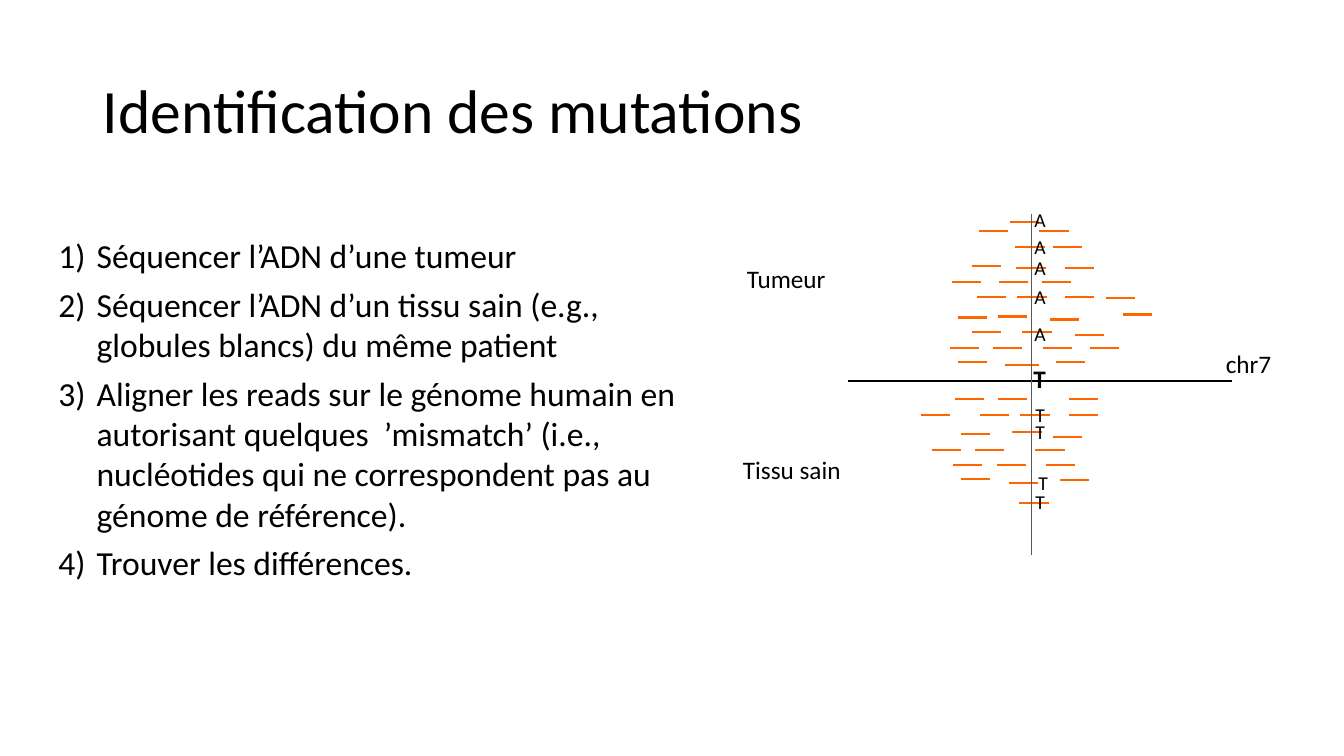
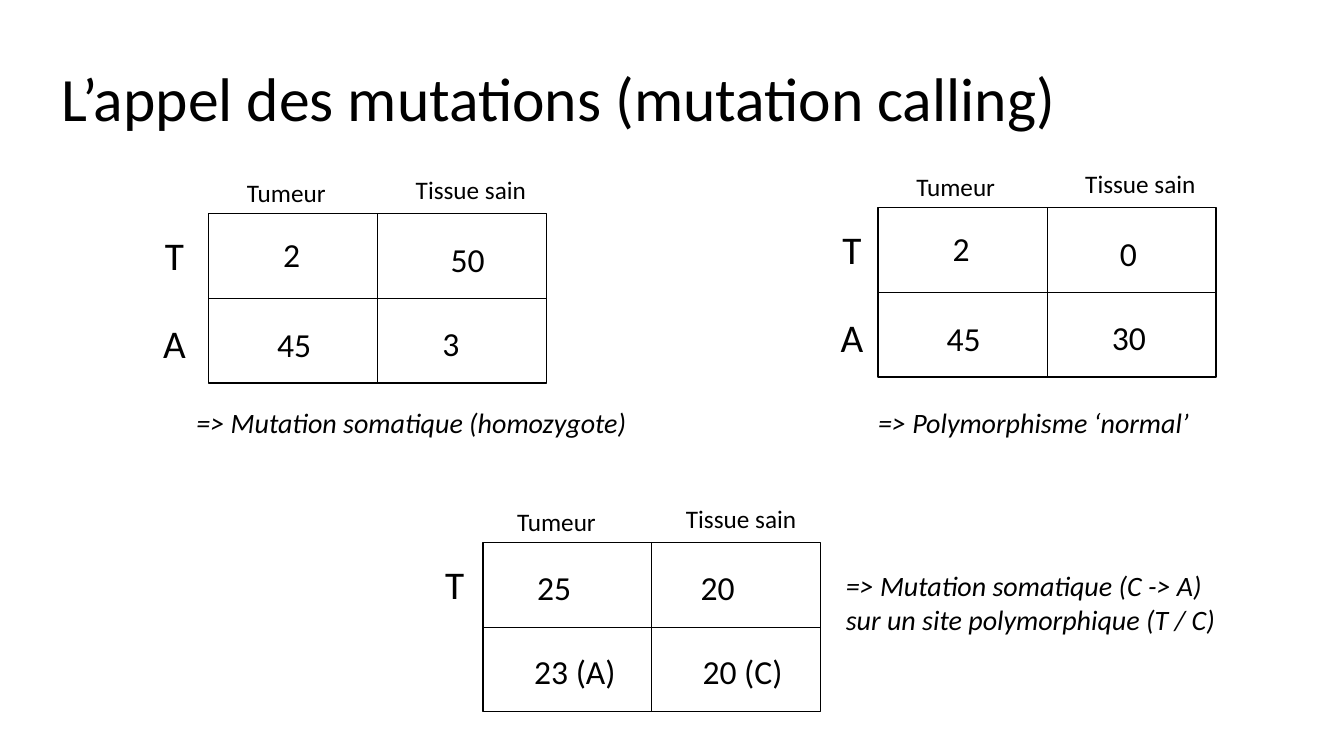
from dataclasses import dataclass

from lxml import etree
from pptx import Presentation
from pptx.dml.color import RGBColor
from pptx.enum.shapes import MSO_CONNECTOR, MSO_SHAPE
from pptx.enum.text import MSO_ANCHOR, MSO_AUTO_SIZE, PP_ALIGN
from pptx.oxml.ns import qn
from pptx.util import Inches, Pt

STRAIGHT = MSO_CONNECTOR.STRAIGHT
RECTANGLE = MSO_SHAPE.RECTANGLE
MIDDLE = MSO_ANCHOR.MIDDLE
FIXED_SIZE = MSO_AUTO_SIZE.NONE
GROW = MSO_AUTO_SIZE.SHAPE_TO_FIT_TEXT
LEFT = PP_ALIGN.LEFT
CENTER = PP_ALIGN.CENTER
TOP_SIDE, LEFT_SIDE, BOTTOM_SIDE, RIGHT_SIDE = range(4)
TITLE_ONLY = 5


@dataclass(frozen=True)
class Theme:
    font: str = "Calibri"
    ink: str = "000000"
    paper: str = "FFFFFF"
    read: str = "FF6600"
    axis: str = "595959"
    title: int = 44
    row_label: int = 28
    body: int = 24
    caption: int = 20
    label: int = 18
    base: int = 14
    thick: float = 1.5
    border: float = 1
    thin: float = 0.5


THEME = Theme()

STEPS = [
    "Séquencer l’ADN d’une tumeur",
    "Séquencer l’ADN d’un tissu sain (e.g., globules blancs) du même patient",
    "Aligner les reads sur le génome humain en autorisant quelques  ’mismatch’ "
    "(i.e., nucléotides qui ne correspondent pas au génome de référence).",
    "Trouver les différences.",
]

READ_LENGTH = 0.29
READ_ROWS = {
    2.2: [10.02],
    2.29: [9.71, 10.31],
    2.45: [10.07, 10.44],
    2.64: [9.64],
    2.66: [10.08, 10.56],
    2.8: [9.44, 9.91, 10.33],
    2.95: [9.69, 10.09, 10.56],
    2.96: [10.97],
    3.12: [11.14],
    3.14: [9.9],
    3.15: [9.5],
    3.17: [10.41],
    3.29: [9.64, 10.14],
    3.32: [10.66],
    3.45: [9.42, 9.85, 10.34, 10.81],
    3.59: [9.5, 10.47],
    3.62: [9.97, 10.02],
    3.96: [9.47, 9.9, 10.6],
    4.12: [9.13, 9.72, 10.12, 10.6],
    4.29: [10.04],
    4.31: [9.53],
    4.34: [10.44],
    4.46: [9.24, 9.67, 10.27],
    4.61: [9.45, 9.89, 10.37],
    4.75: [9.53],
    4.76: [10.51],
    4.79: [10.01],
    4.99: [10.11],
}

TUMOUR_BASE_TOPS = [2.01, 2.28, 2.49, 2.78, 3.14]
HEALTHY_BASES = [(10.17, 3.95), (10.17, 4.12), (10.2, 4.62), (10.17, 4.81)]

GRID_WIDTH, GRID_HEIGHT = 3.35, 1.68
COLUMN_HEADERS = [("Tumeur", 0, -0.41), ("Tissue sain", 1.83, -0.44)]
ROW_LABEL_WIDTH = 1.52
ROW_LABEL_TOPS = [0.13, 1]
SHORT_OFFSETS = [(0.64, 0.15), (2.3, 0.2), (0.58, 1.04), (2.22, 1.03)]
LONG_OFFSETS = [(0.44, 0.2), (2.06, 0.2), (0.41, 1.03), (2.08, 1.03)]


class Deck:
    def __init__(self, theme):
        self.theme = theme
        self.presentation = Presentation()
        self.presentation.slide_width = Inches(13.33)
        self.presentation.slide_height = Inches(7.5)
        self.slide = None
        self.shapes = None

    def add_slide(self, title, left, top):
        layout = self.presentation.slide_layouts[TITLE_ONLY]
        self.slide = self.presentation.slides.add_slide(layout)
        self.shapes = self.slide.shapes
        fill = self.slide.background.fill
        fill.solid()
        fill.fore_color.rgb = RGBColor.from_string(self.theme.paper)
        shape = self.shapes.title
        shape.left, shape.top = Inches(left), Inches(top)
        shape.width, shape.height = Inches(11.5), Inches(1.45)
        frame = shape.text_frame
        frame.word_wrap = True
        frame.auto_size = FIXED_SIZE
        frame.vertical_anchor = MIDDLE
        paragraph = frame.paragraphs[0]
        paragraph.alignment = LEFT
        paragraph.line_spacing = 0.9
        self.run(paragraph, title, self.theme.title)

    def start_group(self):
        self.shapes = self.slide.shapes.add_group_shape().shapes

    def end_group(self):
        self.shapes = self.slide.shapes

    def run(self, paragraph, text, size, bold=False, italic=False):
        run = paragraph.add_run()
        run.text = text
        run.font.name = self.theme.font
        run.font.size = Pt(size)
        run.font.bold = bold
        run.font.italic = italic
        run.font.color.rgb = RGBColor.from_string(self.theme.ink)

    def frame(self, left, top, width, height):
        box = self.shapes.add_textbox(
            Inches(left), Inches(top), Inches(width), Inches(height))
        box.text_frame.word_wrap = True
        box.text_frame.auto_size = GROW
        return box.text_frame

    def text(self, text, left, top, width, height, size,
             alignment=LEFT, bold=False, italic=False):
        paragraph = self.frame(left, top, width, height).paragraphs[0]
        paragraph.alignment = alignment
        self.run(paragraph, text, size, bold, italic)

    def numbered_list(self, items, left, top, width, height):
        frame = self.frame(left, top, width, height)
        for index, item in enumerate(items):
            paragraph = frame.add_paragraph() if index else frame.paragraphs[0]
            paragraph.space_before = Pt(6)
            properties = paragraph._p.get_or_add_pPr()
            properties.set("marL", str(Inches(0.38)))
            properties.set("indent", str(-Inches(0.38)))
            number = etree.SubElement(properties, qn("a:buAutoNum"))
            number.set("type", "arabicParenR")
            self.run(paragraph, item, self.theme.body)

    def line(self, start, end, color, weight):
        connector = self.shapes.add_connector(
            STRAIGHT, *(Inches(value) for value in (*start, *end)))
        connector.line.color.rgb = RGBColor.from_string(color)
        connector.line.width = Pt(weight)
        etree.SubElement(connector._element.spPr, qn("a:effectLst"))
        return connector

    def count_grid(self, left, top, values, offsets, row_labels, label_center,
                   header_left=-0.1):
        theme = self.theme
        rectangle = self.shapes.add_shape(
            RECTANGLE, Inches(left), Inches(top),
            Inches(GRID_WIDTH), Inches(GRID_HEIGHT))
        rectangle.shadow.inherit = False
        rectangle.fill.solid()
        rectangle.fill.fore_color.rgb = RGBColor.from_string(theme.paper)
        rectangle.line.color.rgb = RGBColor.from_string(theme.ink)
        rectangle.line.width = Pt(theme.border)

        center_x, center_y = left + GRID_WIDTH / 2, top + GRID_HEIGHT / 2
        dividers = [
            ((center_x, top), (center_x, top + GRID_HEIGHT), TOP_SIDE, BOTTOM_SIDE),
            ((left, center_y), (left + GRID_WIDTH, center_y), LEFT_SIDE, RIGHT_SIDE),
        ]
        for start, end, first_side, last_side in dividers:
            divider = self.line(start, end, theme.ink, theme.thin)
            divider.begin_connect(rectangle, first_side)
            divider.end_connect(rectangle, last_side)

        for header, x, y in COLUMN_HEADERS:
            self.text(header, left + header_left + x, top + y, 1.74, 0.42,
                      theme.label, CENTER)
        for label, y in zip(row_labels, ROW_LABEL_TOPS):
            self.text(label, left + label_center - ROW_LABEL_WIDTH / 2, top + y,
                      ROW_LABEL_WIDTH, 0.57, theme.row_label, CENTER)
        for value, (x, y) in zip(values, offsets):
            width = 1.13 if len(value) > 2 else 0.6
            self.text(value, left + x, top + y, width, 0.5, theme.body)

    def caption(self, text, left, top, width, height):
        self.text(text, left, top, width, height, self.theme.caption, italic=True)


def build_identification(deck):
    theme = deck.theme
    deck.add_slide("Identification des mutations", 0.92, 0.4)
    deck.text("chr7", 12.06, 3.41, 1.06, 0.4, theme.label)
    deck.numbered_list(STEPS, 0.48, 2.28, 6.51, 3.58)

    deck.start_group()
    deck.line((8.41, 3.78), (12.22, 3.78), theme.ink, theme.thick)
    for y, lefts in READ_ROWS.items():
        for x in lefts:
            deck.line((x, y), (x + READ_LENGTH, y), theme.read, theme.thick)
    deck.line((10.23, 2.12), (10.23, 5.51), theme.axis, theme.thin)
    for top in TUMOUR_BASE_TOPS:
        deck.text("A", 10.16, top, 0.49, 0.34, theme.base)
    for left, top in HEALTHY_BASES:
        deck.text("T", left, top, 0.49, 0.34, theme.base)
    deck.text("T", 10.15, 3.56, 0.49, 0.4, theme.label, bold=True)
    deck.end_group()

    deck.text("Tissu sain", 7.27, 4.46, 1.6, 0.4, theme.label)
    deck.text("Tumeur", 7.31, 2.56, 1.6, 0.4, theme.label)


def build_calling(deck):
    deck.add_slide("L’appel des mutations (mutation calling)", 0.51, 0.28)
    deck.count_grid(8.71, 2.06, ["2", "0", "45", "30"], SHORT_OFFSETS, "TA", -0.26)
    deck.count_grid(4.79, 5.38, ["25", "20", "23 (A)", "20 (C)"], LONG_OFFSETS,
                    "T", -0.28, header_left=-0.14)
    deck.count_grid(2.07, 2.12, ["2", "50", "45", "3"], SHORT_OFFSETS, "TA", -0.34)
    deck.caption("=> Polymorphisme ‘normal’", 8.61, 3.97, 3.48, 0.44)
    deck.caption("=> Mutation somatique (C -> A) sur un site polymorphique (T / C)",
                 8.29, 5.59, 4.09, 0.77)
    deck.caption("=> Mutation somatique (homozygote)", 1.85, 3.97, 4.6, 0.44)


def main():
    deck = Deck(THEME)
    build_identification(deck)
    build_calling(deck)
    deck.presentation.save("out.pptx")


if __name__ == "__main__":
    main()
